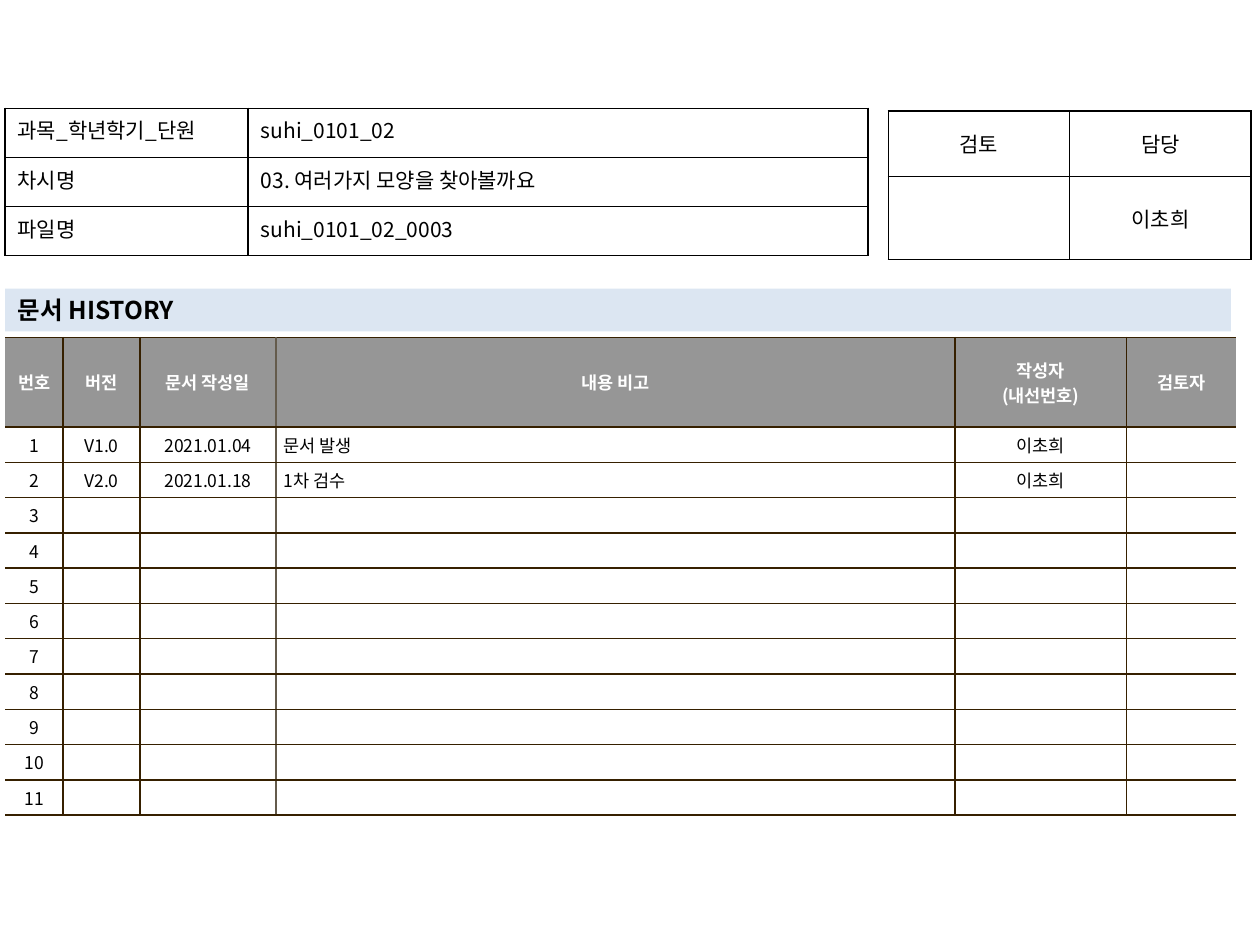
from dataclasses import dataclass
from typing import Optional

from lxml import etree
from pptx import Presentation
from pptx.dml.color import RGBColor
from pptx.enum import text
from pptx.oxml.ns import qn
from pptx.util import Inches, Pt

FONT = "Noto Sans CJK KR"
COLORS = {
    "black": "000000",
    "white": "FFFFFF",
    "header": "969696",
    "band": "DCE6F2",
    "rule": "362000",
    "soft_rule": "645B4C",
}
LEFT, CENTER, JUSTIFY = text.PP_ALIGN.LEFT, text.PP_ALIGN.CENTER, text.PP_ALIGN.JUSTIFY
TOP, MIDDLE = text.MSO_ANCHOR.TOP, text.MSO_ANCHOR.MIDDLE


@dataclass
class CellStyle:
    size: int = 12
    color: str = "black"
    bold: bool = False
    align: text.PP_ALIGN = LEFT
    anchor: text.MSO_ANCHOR = TOP
    margins: tuple[float, float] = (0.1, 0.05)  # sides, top and bottom
    fill: Optional[str] = None
    hanging: float = 0


def rgb(color: str) -> RGBColor:
    return RGBColor.from_string(COLORS[color])


def add_run(paragraph, words: str, style: CellStyle) -> None:
    run = paragraph.add_run()
    run.text = words
    run.font.size = Pt(style.size)
    run.font.bold = style.bold
    run.font.name = FONT
    run.font.color.rgb = rgb(style.color)
    etree.SubElement(run.font._element, qn("a:ea"), typeface=FONT)


def write_cell(cell, words: str, style: CellStyle) -> None:
    cell.vertical_anchor = style.anchor
    side, edge = style.margins
    cell.margin_left = cell.margin_right = Inches(side)
    cell.margin_top = cell.margin_bottom = Inches(edge)
    frame = cell.text_frame
    for i, line in enumerate(words.split("\n")):
        paragraph = frame.add_paragraph() if i else frame.paragraphs[0]
        paragraph.alignment = style.align
        if style.hanging:
            indent = Inches(style.hanging)
            properties = paragraph._p.get_or_add_pPr()
            properties.set("marL", str(indent))
            properties.set("indent", str(-indent))
        if line:
            add_run(paragraph, line, style)
        else:
            # Keeps an empty row from growing to the default text size
            etree.SubElement(paragraph._p, qn("a:endParaRPr"), sz=str(style.size * 100))


def set_borders(cell, borders: dict[str, Optional[str]]) -> None:
    properties = cell._tc.get_or_add_tcPr()
    for side in "LRTB":
        line = etree.SubElement(properties, qn(f"a:ln{side}"), w=str(Pt(1)))
        color = borders[side]
        if color is None:
            etree.SubElement(line, qn("a:noFill"))
        else:
            solid = etree.SubElement(line, qn("a:solidFill"))
            etree.SubElement(solid, qn("a:srgbClr"), val=COLORS[color])


def draw_table(slide, left: float, top: float, widths: list[float], heights: list[float],
               rows: list[list[str]], styles: list[list[CellStyle]],
               verticals: list[Optional[str]], horizontal: str) -> None:
    """Draw a table; verticals holds one line colour per column edge."""
    table = slide.shapes.add_table(
        len(heights), len(widths), Inches(left), Inches(top),
        Inches(sum(widths)), Inches(sum(heights))).table
    table.first_row = table.horz_banding = False
    for column, width in zip(table.columns, widths):
        column.width = Inches(width)
    for row, height in zip(table.rows, heights):
        row.height = Inches(height)
    for r, row_words in enumerate(rows):
        for c, words in enumerate(row_words):
            cell, style = table.cell(r, c), styles[r][c]
            write_cell(cell, words, style)
            set_borders(cell, {"L": verticals[c], "R": verticals[c + 1],
                               "T": horizontal, "B": horizontal})
            if style.fill:
                cell.fill.solid()
                cell.fill.fore_color.rgb = rgb(style.fill)
            else:
                cell.fill.background()


def draw_title(slide, words: str) -> None:
    title = slide.shapes.title
    title.left, title.top = Inches(0.04), Inches(2.29)
    title.width, title.height = Inches(9.73), Inches(0.34)
    title.fill.solid()
    title.fill.fore_color.rgb = rgb("band")
    frame = title.text_frame
    frame.auto_size = text.MSO_AUTO_SIZE.NONE
    frame.vertical_anchor = MIDDLE
    frame.paragraphs[0].alignment = LEFT
    add_run(frame.paragraphs[0], words, CellStyle(size=14, bold=True))


def draw_history(slide) -> None:
    small = (0.06, 0.04)
    head = CellStyle(10, "white", True, CENTER, MIDDLE, small, "header")
    body = CellStyle(10, "black", False, CENTER, MIDDLE, small, "white")
    note = CellStyle(10, "black", False, LEFT, MIDDLE, small, "white", 0.19)
    entries = [
        ["V1.0", "2021.01.04", "문서 발생", "이초희", ""],
        ["V2.0", "2021.01.18", "1차 검수", "이초희", ""],
    ]
    entries += [[""] * 5 for _ in range(11 - len(entries))]
    rows = [["번호", "버전", "문서 작성일", "내용 비고", "작성자\n(내선번호)", "검토자"]]
    rows += [[str(n), *entry] for n, entry in enumerate(entries, 1)]
    styles = [[head] * 6] + [[body, body, body, note, body, body]] * len(entries)
    draw_table(slide, 0.04, 2.68, [0.46, 0.61, 1.08, 5.39, 1.36, 0.87],
               [0.71] + [0.25] * len(entries), rows, styles,
               [None, "rule", "rule", "soft_rule", "rule", "rule", None], "rule")


def main() -> None:
    deck = Presentation()
    deck.slide_width, deck.slide_height = Inches(10), Inches(7.5)
    slide = deck.slides.add_slide(deck.slide_layouts[5])

    # Revision history under its heading
    draw_title(slide, "문서 HISTORY")
    draw_history(slide)

    # Review and sign-off
    sign = CellStyle(align=CENTER, anchor=MIDDLE)
    draw_table(slide, 7.05, 0.88, [1.44] * 2, [0.52, 0.66],
               [["검토", "담당"], ["", "이초희"]], [[sign] * 2] * 2,
               ["black"] * 3, "black")

    # Document details
    details = [
        ["과목_학년학기_단원", "suhi_0101_02"],
        ["차시명", "03. 여러가지 모양을 찾아볼까요"],
        ["파일명", "suhi_0101_02_0003"],
    ]
    draw_table(slide, 0.04, 0.86, [1.93, 4.92], [0.39] * 3, details,
               [[CellStyle(align=JUSTIFY), CellStyle()]] * 3,
               ["black"] * 3, "black")

    deck.save("out.pptx")


if __name__ == "__main__":
    main()
